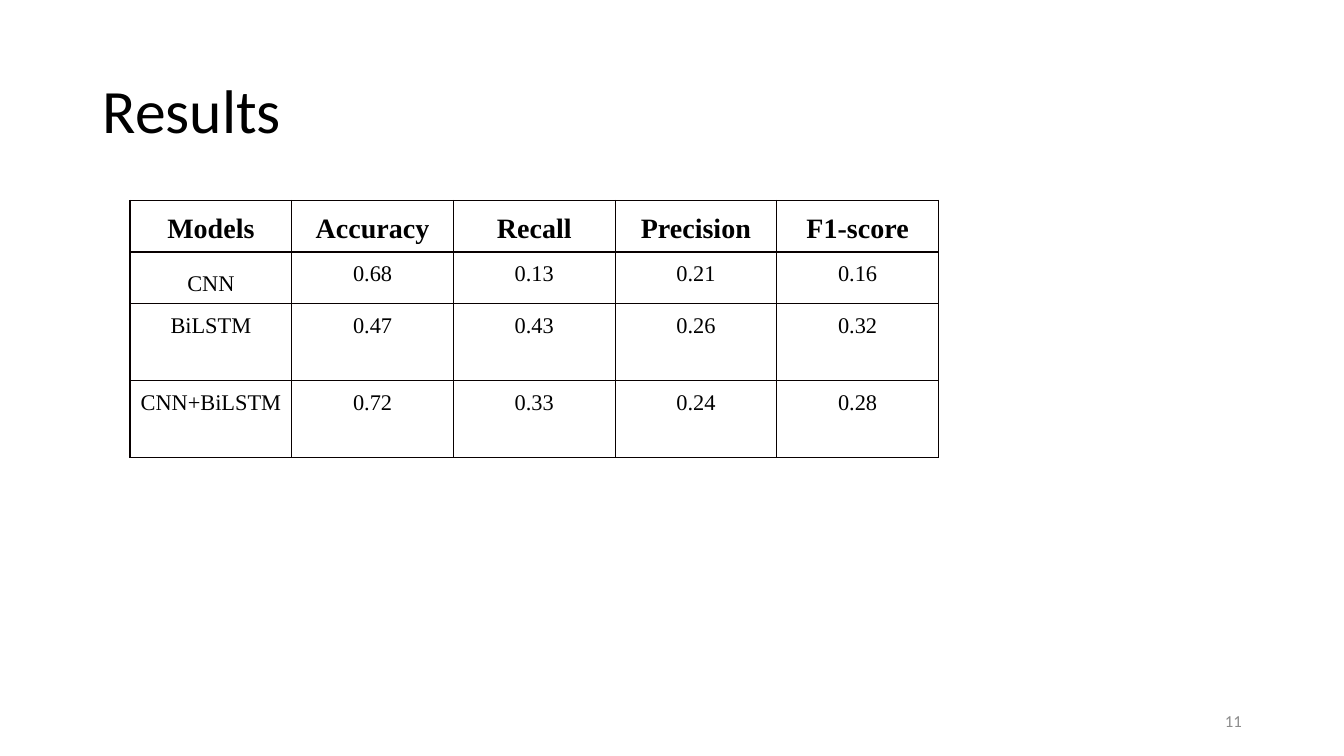
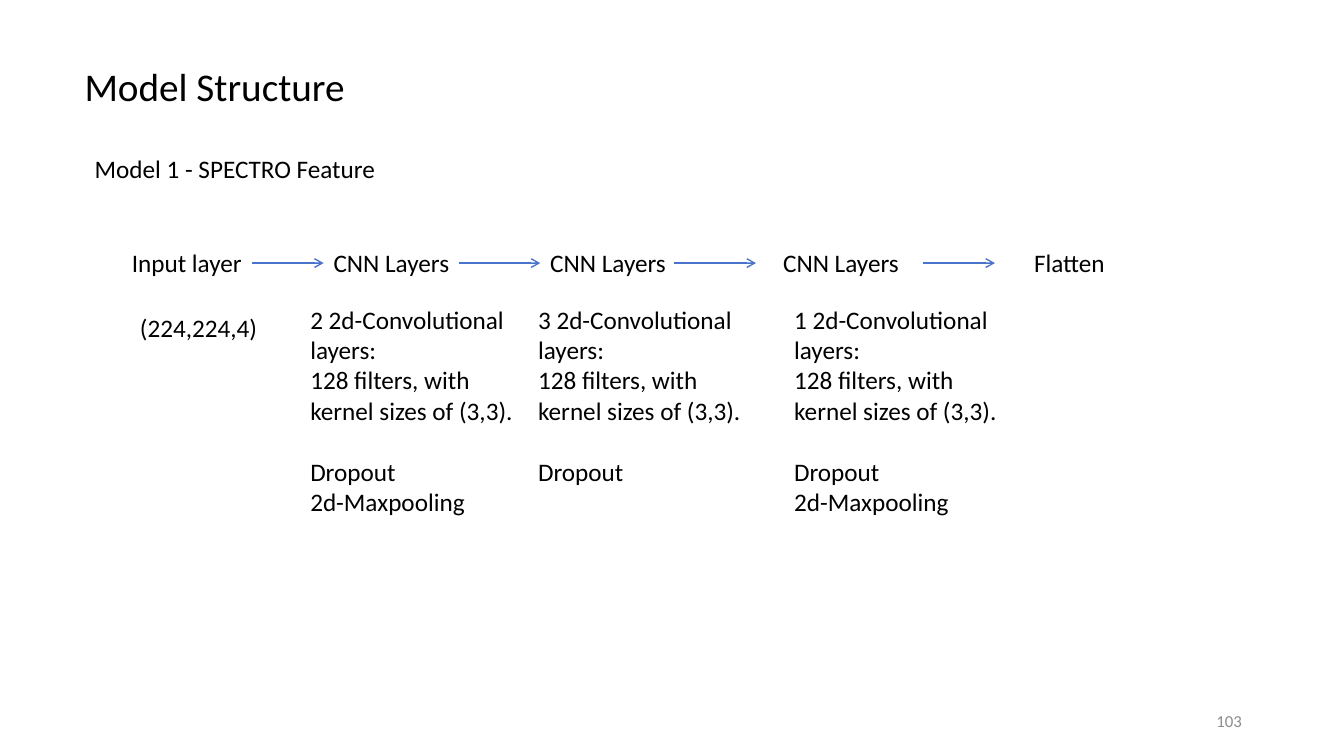
import pptx
import pptx.util
import pptx.dml.color
import pptx.enum.shapes
import pptx.enum.text
import pptx.oxml.ns
import lxml.etree

BLACK = pptx.dml.color.RGBColor(0x00, 0x00, 0x00)
GREY = pptx.dml.color.RGBColor(0x8C, 0x8C, 0x8C)
BLUE = pptx.dml.color.RGBColor(0x48, 0x74, 0xCB)
BORDER = pptx.dml.color.RGBColor(0x08, 0x00, 0x00)
BODY_FONT = "Calibri"
TABLE_FONT = "Times New Roman"
ALIGN = pptx.enum.text.PP_ALIGN
ANCHOR = pptx.enum.text.MSO_ANCHOR
qn = pptx.oxml.ns.qn

prs = pptx.Presentation()
prs.slide_width = pptx.util.Inches(13.33)
prs.slide_height = pptx.util.Inches(7.5)
COL = prs.slide_width / 100
ROW = prs.slide_height / 100


def write(tf, text, size=18, font=BODY_FONT, color=BLACK, bold=False,
          align=ALIGN.LEFT, anchor=ANCHOR.TOP, spacing=1.0, gap_before=None):
    tf.word_wrap = True
    tf.vertical_anchor = anchor
    for i, line in enumerate(text.split("\n")):
        p = tf.paragraphs[0] if i == 0 else tf.add_paragraph()
        p.alignment = align
        p.line_spacing = spacing
        if line == gap_before:
            p.space_before = pptx.util.Pt(22)
        r = p.add_run()
        r.text = line
        r.font.size = pptx.util.Pt(size)
        r.font.name = font
        r.font.bold = bold
        r.font.color.rgb = color


def add_text(s, text, col, row, cols, rows, **style):
    sp = s.shapes.add_textbox(int(col * COL), int(row * ROW),
                              int(cols * COL), int(rows * ROW))
    write(sp.text_frame, text, **style)


results, structure = [prs.slides.add_slide(prs.slide_layouts[6]) for _ in range(2)]
for s, number in ((results, "11"), (structure, "103")):
    add_text(s, number, 70.65, 92.67, 22.5, 5.33, size=12, color=GREY,
             align=ALIGN.RIGHT, anchor=ANCHOR.MIDDLE)

add_text(results, "Results", 6.9, 5.33, 86.25, 19.33, size=44,
         anchor=ANCHOR.MIDDLE, spacing=0.9)

scores = [
    ("Models", "Accuracy", "Recall", "Precision", "F1-score"),
    ("CNN", "0.68", "0.13", "0.21", "0.16"),
    ("BiLSTM", "0.47", "0.43", "0.26", "0.32"),
    ("CNN+BiLSTM", "0.72", "0.33", "0.24", "0.28"),
]
row_heights = (6.8, 6.8, 10.2, 10.2)
col_width = 12.03
table = results.shapes.add_table(
    len(scores), len(scores[0]), int(9.68 * COL), int(26.53 * ROW),
    int(col_width * len(scores[0]) * COL), int(sum(row_heights) * ROW)).table
table.first_row = False
table.horz_banding = False
for column in table.columns:
    column.width = int(col_width * COL)
for i, values in enumerate(scores):
    table.rows[i].height = int(row_heights[i] * ROW)
    for j, value in enumerate(values):
        cell = table.cell(i, j)
        cell.margin_left = cell.margin_right = pptx.util.Inches(0.07)
        cell.margin_top = cell.margin_bottom = 0
        write(cell.text_frame, value, size=20 if i == 0 else 16, font=TABLE_FONT,
              bold=i == 0, align=ALIGN.CENTER,
              spacing=1.8 if value == "CNN" else 1.4)
        tcPr = cell._tc.get_or_add_tcPr()
        for side in ("a:lnL", "a:lnR", "a:lnT", "a:lnB"):
            ln = lxml.etree.SubElement(tcPr, qn(side), w=str(pptx.util.Pt(1)))
            fill = lxml.etree.SubElement(ln, qn("a:solidFill"))
            lxml.etree.SubElement(fill, qn("a:srgbClr"), val=str(BORDER))
        cell.fill.background()

add_text(structure, "Model Structure", 5.55, 7.6, 40.65, 7.6, size=28)
add_text(structure, "Model 1 - SPECTRO Feature", 6.3, 19.6, 28.8, 5.33)

stages = [
    ("Input layer", 9.08, 10),
    ("CNN Layers", 24.08, 23.3),
    ("CNN Layers", 40.2, 23.3),
    ("CNN Layers", 57.53, 23.3),
    ("Flatten", 76.2, 23.3),
]
for name, col, cols in stages:
    add_text(structure, name, col, 32, cols, 5.33)

add_text(structure, "(224,224,4)", 9.68, 40.67, 14.4, 5.33)
details = [
    (22.35, 2, "Dropout\n2d-Maxpooling"),
    (39.3, 3, "Dropout"),
    (58.35, 1, "Dropout\n2d-Maxpooling"),
]
for col, count, ending in details:
    add_text(structure,
             f"{count} 2d-Convolutional layers:\n"
             f"128 filters, with kernel sizes of (3,3).\n{ending}",
             col, 39.6, 17.85, 28.67, gap_before="Dropout")

arrow_y = int(34.8 * ROW)
for start, end in ((18.75, 24.08), (34.13, 40.2), (50.18, 56.25), (68.7, 74.03)):
    arrow = structure.shapes.add_connector(
        pptx.enum.shapes.MSO_CONNECTOR.STRAIGHT,
        int(start * COL), arrow_y, int(end * COL), arrow_y)
    arrow.line.color.rgb = BLUE
    arrow.line.width = pptx.util.Pt(1)
    lxml.etree.SubElement(arrow.line._get_or_add_ln(), qn("a:tailEnd"), type="arrow")
    lxml.etree.SubElement(arrow._element.spPr, qn("a:effectLst"))

prs.save("out.pptx")
